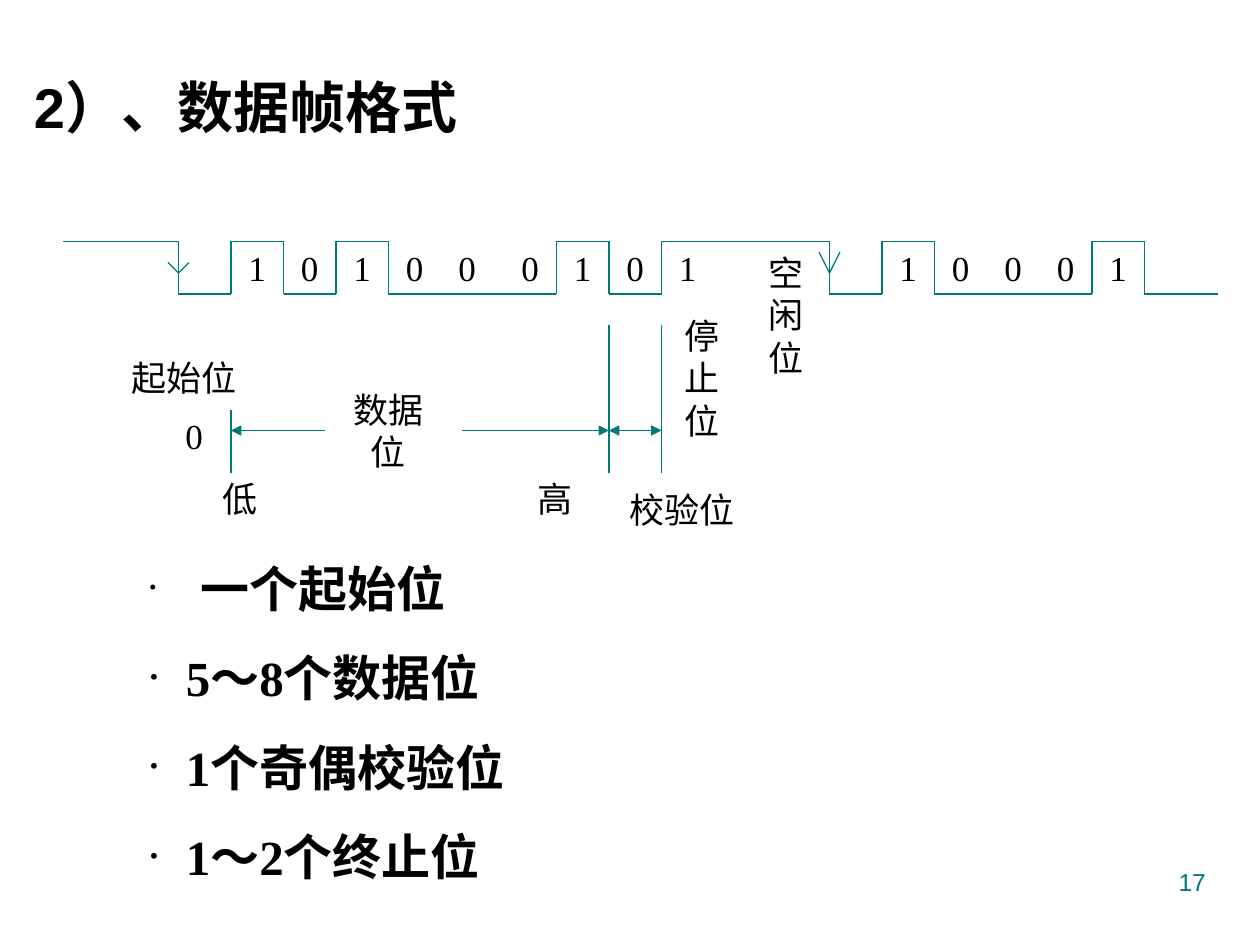
from lxml.etree import SubElement
from pptx import Presentation
from pptx.dml.color import RGBColor
from pptx.enum.shapes import MSO_CONNECTOR as CONN
from pptx.enum.text import MSO_ANCHOR as ANCHOR, MSO_AUTO_SIZE as AUTO, PP_ALIGN as ALIGN
from pptx.oxml.ns import qn
from pptx.util import Cm, Pt

COLORS = {"text": "000000", "signal": "007A77"}
SERIF, SANS = "Times New Roman", "Arial"
HIGH, LOW, BIT = 23, 28, 5  # signal levels and bit width, in grid units


def grid(n):
    """The diagram sits on a grid of twelfths of an inch."""
    return Cm(n * 2.54 / 12)


class SlideBuilder:
    def __init__(self, prs):
        self.s = prs.slides.add_slide(prs.slide_layouts[5])

    def run(self, p, text, size, font=SERIF, bold=False, color="text"):
        r = p.add_run()
        r.text = text
        r.font.size, r.font.name, r.font.bold = Pt(size), font, bold
        r.font.color.rgb = RGBColor.from_string(COLORS[color])

    def title(self, text, x, y, w, h):
        sp = self.s.shapes.title
        sp.left, sp.top, sp.width, sp.height = Cm(x), Cm(y), Cm(w), Cm(h)
        tf = sp.text_frame
        tf.auto_size, tf.vertical_anchor = AUTO.NONE, ANCHOR.TOP
        p = tf.paragraphs[0]
        p.alignment, p.line_spacing = ALIGN.JUSTIFY, 1.2
        self.run(p, text, 32, SANS, True)

    def label(self, lines, x, y, w=BIT, h=BIT):
        """Centred diagram label on the grid, one paragraph a line."""
        tf = self.s.shapes.add_textbox(grid(x), grid(y), grid(w), grid(h)).text_frame
        tf.word_wrap, tf.vertical_anchor = False, ANCHOR.MIDDLE
        for i, line in enumerate(lines):
            p = tf.add_paragraph() if i else tf.paragraphs[0]
            p.alignment = ALIGN.CENTER
            self.run(p, line, 20)

    def line(self, x1, y1, x2, y2, head=False, tail=False):
        sp = self.s.shapes.add_connector(
            CONN.STRAIGHT, grid(x1), grid(y1), grid(x2), grid(y2))
        sp.line.width = Pt(0.75)
        sp.line.color.rgb = RGBColor.from_string(COLORS["signal"])
        ln = sp.line._get_or_add_ln()
        for tag, wanted in (("a:headEnd", head), ("a:tailEnd", tail)):
            if wanted:
                SubElement(ln, qn(tag), type="triangle")
        SubElement(sp._element.spPr, qn("a:effectLst"))

    def polyline(self, points):
        for start, end in zip(points, points[1:]):
            self.line(*start, *end)

    def bullets(self, items, x, y, w, h):
        tf = self.s.shapes.add_textbox(Cm(x), Cm(y), Cm(w), Cm(h)).text_frame
        tf.word_wrap = True
        for i, (text, indent, percent) in enumerate(items):
            p = tf.add_paragraph() if i else tf.paragraphs[0]
            p.space_before = Pt(17.5)
            pPr = p._p.get_or_add_pPr()
            pPr.set("marL", str(Cm(indent)))
            pPr.set("indent", str(-Cm(indent)))
            SubElement(pPr, qn("a:buSzPct"), val=str(percent * 1000))
            SubElement(pPr, qn("a:buFont"), typeface=SERIF)
            SubElement(pPr, qn("a:buChar"), char="·")
            self.run(p, text, 28, bold=True)

    def page_number(self, text, x, y, w, h):
        tf = self.s.shapes.add_textbox(Cm(x), Cm(y), Cm(w), Cm(h)).text_frame
        tf.word_wrap = True
        p = tf.paragraphs[0]
        p.alignment = ALIGN.RIGHT
        self.run(p, text, 14, SANS, color="signal")


def main():
    prs = Presentation()
    prs.slide_width, prs.slide_height = Cm(25.4), Cm(19.05)
    b = SlideBuilder(prs)
    b.title("2）、数据帧格式", 0.43, 1.07, 21.59, 1.88)

    # Signal: starts high and changes level at every edge
    edges = [17, 22, 27, 32, 37, 53, 58, 63, 79, 84, 89, 104, 109]
    points, level = [(6, HIGH)], HIGH
    for x in edges:
        points.append((x, level))
        level = HIGH + LOW - level
        points.append((x, level))
    b.polyline(points + [(116, level)])

    # Bit values: groups of neighbouring cells
    for start, bits in ((22, "10100"), (48, "0101"), (84, "10001")):
        for i, bit in enumerate(bits):
            b.label([bit], start + i * BIT, HIGH)

    # Falling-edge marks
    b.polyline([(16, 25), (17, 26), (18, 25)])
    b.polyline([(78, 24), (79, 26), (80, 24)])

    # Field limits and dimension arrows
    for x, top in ((22, 39), (58, 31), (63, 31)):
        b.line(x, top, x, 45)
    b.line(58, 41, 63, 41, head=True, tail=True)
    b.line(44, 41, 58, 41, tail=True)
    b.line(31, 41, 22, 41, tail=True)

    # Field names, the vertical ones one character a line
    b.label("空闲位", 72, 23, 5, 14)
    b.label("停止位", 64, 30, 4, 12)
    b.label(["起始位"], 9, 33, 17, 6)
    b.label(["0"], 16, 39)
    b.label(["数据位"], 31, 38, 12, 6)
    b.label(["低"], 20, 45)
    b.label(["高"], 50, 45)
    b.label(["校验位"], 58, 45, 14, 7)

    # Frame summary: text, indent, bullet size
    b.bullets([("一个起始位", 1.1, 86), ("5～8个数据位", 0.81, 100),
               ("1个奇偶校验位", 0.81, 100), ("1～2个终止位", 0.81, 100)],
              2.69, 11.13, 9.96, 6.86)
    b.page_number("17", 18.21, 17.35, 6.35, 1.32)
    prs.save("out.pptx")


if __name__ == "__main__":
    main()
